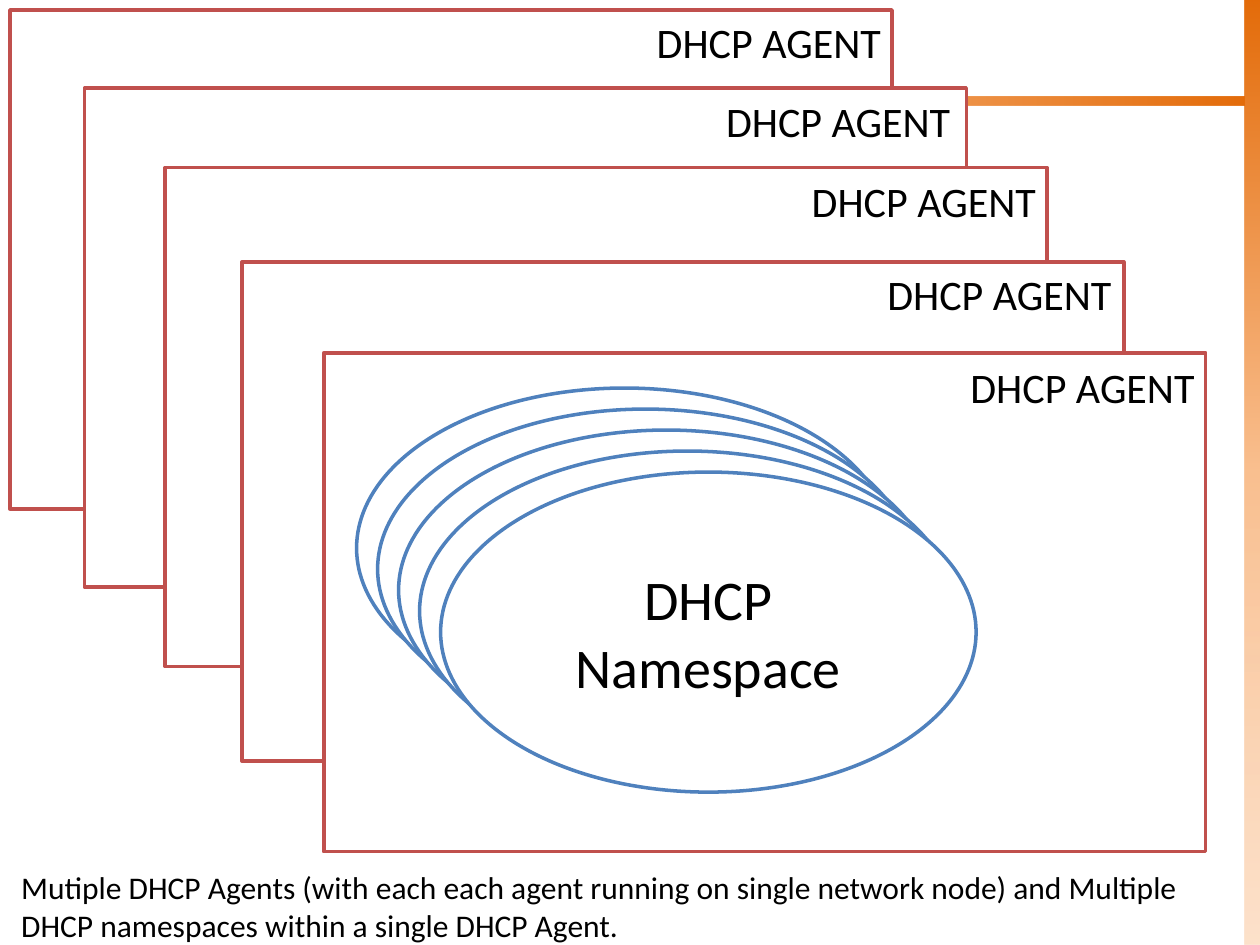
from dataclasses import dataclass

from lxml.etree import SubElement
from pptx import Presentation
from pptx.dml.color import RGBColor
from pptx.enum.shapes import MSO_SHAPE as Shape
from pptx.enum.text import MSO_ANCHOR as Anchor, PP_ALIGN as Align
from pptx.oxml.ns import qn
from pptx.util import Inches, Pt

COLORS = {
    "white": "FFFFFF",
    "text": "000000",
    "agent": "C0504D",
    "namespace": "4F81BD",
    "dark": "E46C0A",
    "mid": "FAC090",
    "pale": "FCD5B5",
}
FONT = "Calibri"
AGENT_SIZE = (7, 3.96)
NAMESPACE_SIZE = (4.25, 2.54)
NAMESPACE_COUNT = 5
NAMESPACE_STEP = 1 / 6


@dataclass
class Agent:
    left: float
    top: float
    label_left: float
    label_top: float


@dataclass
class Stop:
    position: int
    color: str
    opacity: int = 100


AGENTS = [
    Agent(0.08, 0.08, 5.09, 0.08),
    Agent(0.67, 0.70, 5.64, 0.71),
    Agent(1.31, 1.33, 6.32, 1.34),
    Agent(1.92, 2.08, 6.92, 2.08),
    Agent(2.57, 2.80, 7.58, 2.82),
]


def rgb(name: str) -> RGBColor:
    return RGBColor.from_string(COLORS[name])


def add_gradient_bar(s, box: tuple, stops: list[Stop], angle: int) -> None:
    sp = s.shapes.add_shape(Shape.RECTANGLE, *map(Inches, box))
    sp.shadow.inherit = False
    sp.line.fill.background()
    sp.fill.gradient()
    sp.fill.gradient_angle = angle
    stop_list = sp._element.spPr.find(qn("a:gradFill")).find(qn("a:gsLst"))
    for old in list(stop_list):
        stop_list.remove(old)
    for stop in stops:
        gs = SubElement(stop_list, qn("a:gs"), pos=str(stop.position * 1000))
        color = SubElement(gs, qn("a:srgbClr"), val=COLORS[stop.color])
        if stop.opacity < 100:
            SubElement(color, qn("a:alpha"), val=str(stop.opacity * 1000))


def add_outline(s, kind: Shape, left: float, top: float, size: tuple, color: str):
    sp = s.shapes.add_shape(kind, *map(Inches, (left, top, *size)))
    sp.shadow.inherit = False
    sp.fill.solid()
    sp.fill.fore_color.rgb = rgb("white")
    sp.line.color.rgb = rgb(color)
    sp.line.width = Pt(2)
    return sp


def write(sp, text: str, size: int, align: Align, wrap: bool = True) -> None:
    tf = sp.text_frame
    tf.word_wrap = wrap
    p = tf.paragraphs[0]
    p.alignment = align
    r = p.add_run()
    r.text = text
    for name, value in {"name": FONT, "size": Pt(size)}.items():
        setattr(r.font, name, value)
    r.font.color.rgb = rgb("text")


def main() -> None:
    prs = Presentation()
    prs.slide_width, prs.slide_height = Inches(10), Inches(7.5)
    s = prs.slides.add_slide(prs.slide_layouts[6])

    add_gradient_bar(s, (9.88, 0, 0.12, 7.5),
                     [Stop(0, "dark"), Stop(50, "mid"), Stop(100, "pale", 69)], 270)
    add_gradient_bar(s, (0.12, 0.77, 9.76, 0.07),
                     [Stop(0, "pale", 0), Stop(50, "mid"), Stop(100, "dark")], 0)

    for agent in AGENTS:
        add_outline(s, Shape.RECTANGLE, agent.left, agent.top, AGENT_SIZE, "agent")

    for i in range(NAMESPACE_COUNT):
        offset = i * NAMESPACE_STEP
        front = add_outline(s, Shape.OVAL, 2.83 + offset, 3.08 + offset,
                            NAMESPACE_SIZE, "namespace")
    front.text_frame.vertical_anchor = Anchor.MIDDLE
    write(front, "DHCP Namespace", 32, Align.CENTER)

    for agent in AGENTS:
        box = (agent.label_left, agent.label_top, 2, 0.5)
        label = s.shapes.add_textbox(*map(Inches, box))
        write(label, "DHCP AGENT", 24, Align.RIGHT, wrap=False)

    caption = s.shapes.add_textbox(*map(Inches, (0.07, 6.84, 9.92, 0.71)))
    write(caption, "Mutiple DHCP Agents (with each each agent running on single network node) "
          "and Multiple DHCP namespaces within a single DHCP Agent.", 18, Align.LEFT)

    prs.save("out.pptx")


if __name__ == "__main__":
    main()
